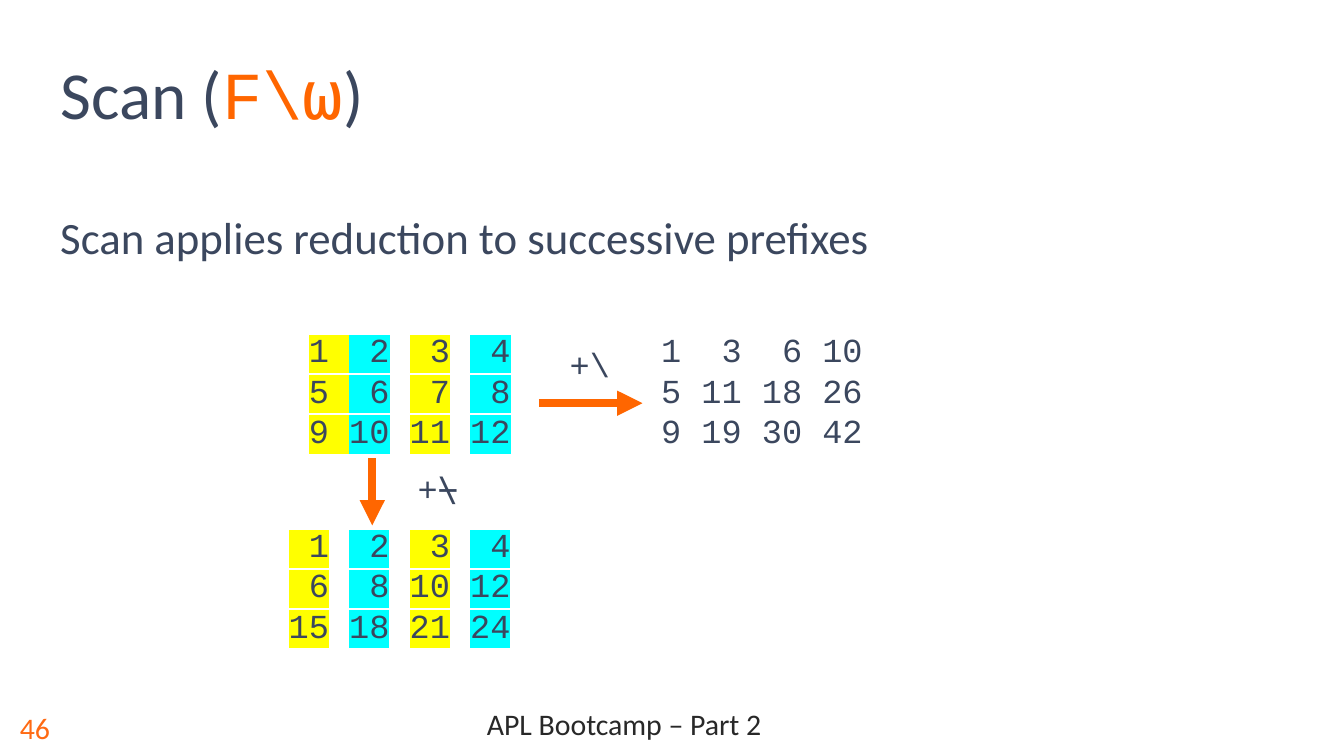
from itertools import groupby

from lxml.etree import SubElement
from pptx import Presentation
from pptx.dml.color import RGBColor
from pptx.enum.shapes import MSO_CONNECTOR as Conn
from pptx.enum.text import MSO_ANCHOR as Anchor, MSO_AUTO_SIZE as Fit, PP_ALIGN as Align
from pptx.oxml.ns import qn
from pptx.util import Inches, Pt

SLATE = RGBColor(0x3B, 0x47, 0x5E)
ORANGE = RGBColor(0xFF, 0x66, 0x00)
AMBER = RGBColor(0xFF, 0x6A, 0x13)
DARK = RGBColor(0x28, 0x28, 0x28)
YELLOW = RGBColor(0xFF, 0xFF, 0x00)
CYAN = RGBColor(0x00, 0xFF, 0xFF)

SANS, MONO = "Calibri", "Courier New"
CELL = 0.1  # inches per grid column and row
MARKS = {"y": YELLOW, "c": CYAN}

SOURCE = ["1  2  3  4", "5  6  7  8", "9 10 11 12"]
ACROSS = ["1  3  6 10", "5 11 18 26", "9 19 30 42"]
DOWN = [" 1  2  3  4", " 6  8 10 12", "15 18 21 24"]


def unit(count):
    return Inches(count * CELL)


def write(para, text, size=18, face=SANS, color=SLATE, mark=None):
    run = para.add_run()
    run.text = text
    font = run.font
    font.size = Pt(size)
    font.color.rgb = color
    if mark is not None:
        light = SubElement(font._element, qn("a:highlight"))
        SubElement(light, qn("a:srgbClr")).set("val", str(mark))
    font.name = face


class Page:
    def __init__(self, deck):
        self.slide = deck.slides.add_slide(deck.slide_layouts[6])

    def frame(self, col, row, wide, high, anchor=Anchor.TOP, wrap=True):
        box = self.slide.shapes.add_textbox(*map(unit, (col, row, wide, high)))
        frame = box.text_frame
        frame.word_wrap = wrap
        frame.auto_size = Fit.NONE if wrap else Fit.SHAPE_TO_FIT_TEXT
        frame.vertical_anchor = anchor
        return frame

    def label(self, text, *area, anchor=Anchor.TOP, **style):
        para = self.frame(*area, anchor=anchor).paragraphs[0]
        write(para, text, **style)
        return para

    def code(self, lines, *area, mask=""):
        """Write code lines; each mask letter names the highlight of its column."""
        frame = self.frame(*area, wrap=False)
        for num, line in enumerate(lines):
            para = frame.add_paragraph() if num else frame.paragraphs[0]
            pairs = zip(mask.ljust(len(line)), line)
            for key, group in groupby(pairs, lambda pair: pair[0]):
                text = "".join(char for _, char in group)
                write(para, text, face=MONO, mark=MARKS.get(key))

    def arrow(self, *ends):
        line = self.slide.shapes.add_connector(Conn.STRAIGHT, *map(unit, ends))
        line.line.color.rgb = ORANGE
        line.line.width = Pt(4.5)
        SubElement(line.line._get_or_add_ln(), qn("a:tailEnd")).set("type", "triangle")
        SubElement(line._element.spPr, qn("a:effectLst"))


def main():
    deck = Presentation()
    deck.slide_width = Inches(10)
    deck.slide_height = deck.slide_width * 9 // 16
    page = Page(deck)

    foot = page.label("APL Bootcamp – Part 2", 7.8, 51.9, 77.3, 4.4,
                      anchor=Anchor.MIDDLE, size=16, color=DARK)
    foot.alignment = Align.CENTER
    foot.line_spacing = 0.8
    page.label("46", 0.5, 51.9, 7.3, 4.4, anchor=Anchor.MIDDLE, size=16, color=AMBER)

    body = page.label("Scan applies reduction to successive prefixes",
                      3.5, 15.1, 92.7, 34.2, size=24)
    body.space_after = Pt(12)
    title = page.label("Scan (", 3.5, 2.9, 71.2, 7.5, anchor=Anchor.BOTTOM, size=36)
    write(title, "F\\⍵", size=36, face=MONO, color=ORANGE)
    write(title, ")", size=36)

    page.code(SOURCE, 22, 24, 17.1, 10.1, mask="yycc yy cc")
    page.code(ACROSS, 48.2, 24, 17.1, 10.1)
    page.code(DOWN, 20.5, 38.5, 18.6, 10.1, mask="yy cc yy cc")

    page.code(["+\\"], 41.4, 25.1, 5, 4)
    page.arrow(40.1, 30, 47.8, 30)
    page.code(["+⍀"], 30.1, 34.3, 5, 4)
    page.arrow(27.7, 34.1, 27.7, 39.1)

    deck.save("out.pptx")


if __name__ == "__main__":
    main()
